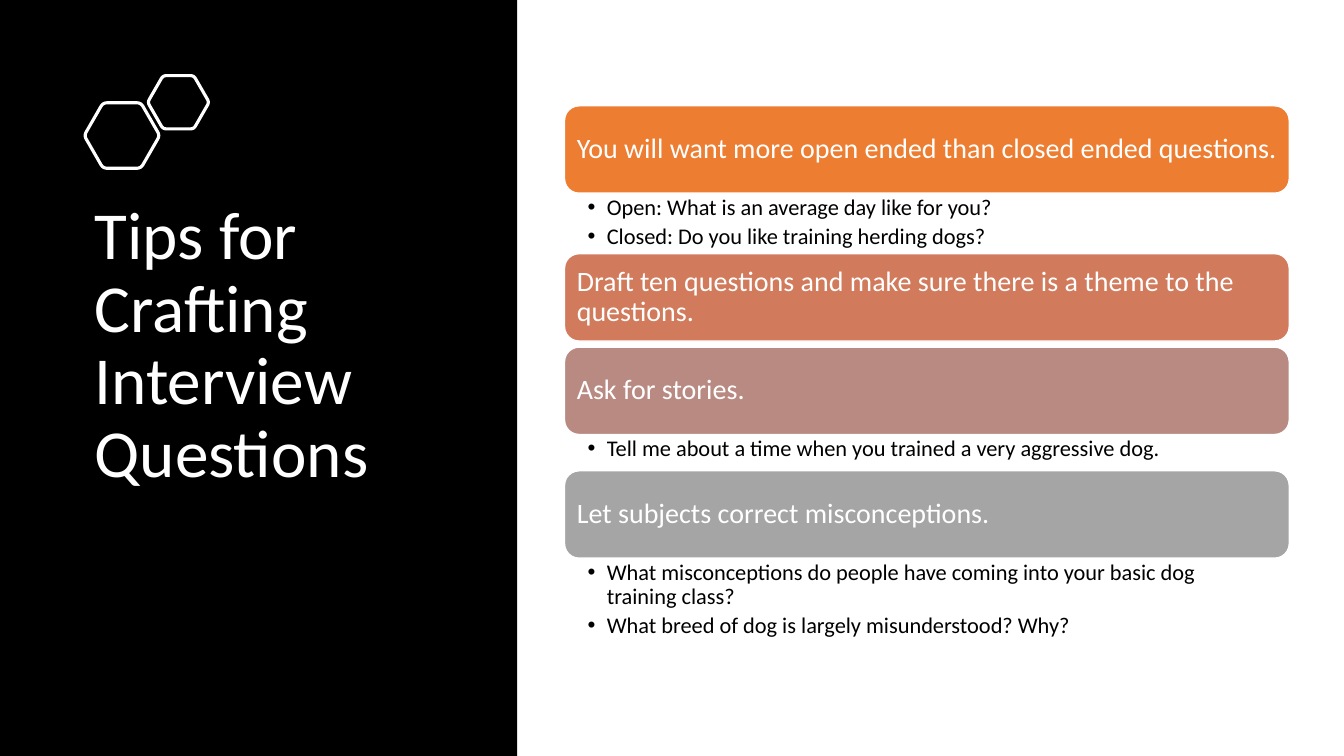
import math
from dataclasses import dataclass

import pptx
import pptx.dml.color
import pptx.enum.shapes
import pptx.enum.text
import pptx.util
from lxml import etree


@dataclass(frozen=True)
class Theme:
    """Colours, font and type sizes."""
    font: str = "Calibri"
    dark: str = "000000"
    light: str = "FFFFFF"
    bars: tuple = ("ED7D31", "D17B5C", "B98A82", "A5A5A5")
    title_size: int = 48
    tip_size: int = 20
    example_size: int = 16


@dataclass(frozen=True)
class Box:
    """A rectangle in grid units of a tenth of an inch."""
    left: float
    top: float
    width: float
    height: float

    def inside(self, left, top, width, height):
        """Return a box offset from this one's corner."""
        return Box(self.left + left, self.top + top, width, height)

    def lengths(self):
        """Return left, top, width and height as lengths."""
        return [grid(value) for value in (self.left, self.top, self.width, self.height)]


THEME = Theme()
SLIDE = Box(0, 0, 133.33, 75)
PANEL = Box(0, 0, 51.3, 75)
TIPS_AREA = Box(56, 10.5, 71.9, 53.6)
BAR_HEIGHT = 8.67
HEXAGONS = [(12.1, 13.45, 3.75), (17.7, 10.15, 3.05)]
TITLE = "Tips for Crafting Interview Questions"
TIPS = [
    ("You will want more open ended than closed ended questions.", 6,
     ["Open: What is an average day like for you?",
      "Closed: Do you like training herding dogs?"]),
    ("Draft ten questions and make sure there is a theme to the questions.", 0.6, []),
    ("Ask for stories.", 3.6,
     ["Tell me about a time when you trained a very aggressive dog."]),
    ("Let subjects correct misconceptions.", 8.6,
     ["What misconceptions do people have coming into your basic dog training class?",
      "What breed of dog is largely misunderstood? Why?"]),
]


def grid(units):
    """Convert grid units to a length."""
    return pptx.util.Inches(units / 10)


def colour(code):
    """Return the colour for a hex code."""
    return pptx.dml.color.RGBColor.from_string(code)


def add_block(page, box, kind, fill):
    """Add a filled preset shape without shadow or outline."""
    shape = page.shapes.add_shape(kind, *box.lengths())
    shape.shadow.inherit = False
    shape.fill.solid()
    shape.fill.fore_color.rgb = colour(fill)
    shape.line.fill.background()
    return shape


def write_text(shape, lines, size, ink, margins, anchor, space_after=0):
    """Write left-aligned paragraphs and return them."""
    frame = shape.text_frame
    frame.word_wrap = True
    frame.vertical_anchor = anchor
    frame.margin_left, frame.margin_top, frame.margin_right, frame.margin_bottom = map(grid, margins)
    frame.text = "\n".join(lines)
    for para in frame.paragraphs:
        para.alignment = pptx.enum.text.PP_ALIGN.LEFT
        para.line_spacing = 0.9
        para.space_after = pptx.util.Pt(space_after)
        for span in para.runs:
            span.font.name = THEME.font
            span.font.size = pptx.util.Pt(size)
            span.font.color.rgb = colour(ink)
    return frame.paragraphs


def add_bullet(para):
    """Give a paragraph a hanging round bullet."""
    props = para._p.get_or_add_pPr()
    props.set("marL", str(grid(1.9)))
    props.set("indent", str(-grid(1.9)))
    namespace = "{http://schemas.openxmlformats.org/drawingml/2006/main}"
    etree.SubElement(props, namespace + "buFont", typeface="Arial")
    etree.SubElement(props, namespace + "buChar", char="•")


def add_hexagon(page, box, centre_x, centre_y, radius):
    """Outline a regular hexagon with rounded corners."""
    corners = [(math.cos(math.radians(60 * i)), math.sin(math.radians(60 * i))) for i in range(6)]
    cut, steps = 0.11, 6
    points = []
    for i, corner in enumerate(corners):
        before, after = corners[i - 1], corners[(i + 1) % 6]
        for step in range(steps + 1):
            t = step / steps
            x, y = (c + cut * ((1 - t) ** 2 * (b - c) + t ** 2 * (a - c))
                    for b, c, a in zip(before, corner, after))
            points.append((grid(box.left + centre_x + radius * x),
                           grid(box.top + centre_y + radius * y)))
    builder = page.shapes.build_freeform(*points[0])
    builder.add_line_segments(points[1:], close=True)
    hexagon = builder.convert_to_shape()
    hexagon.shadow.inherit = False
    hexagon.fill.background()
    hexagon.line.color.rgb = colour(THEME.light)
    hexagon.line.width = pptx.util.Pt(2.25)


def add_title_panel(page, box):
    """Draw the dark panel with its title and hexagons."""
    add_block(page, box, pptx.enum.shapes.MSO_SHAPE.RECTANGLE, THEME.dark)
    title = page.shapes.add_textbox(*box.inside(8.4, 19.5, 39.2, 35).lengths())
    write_text(title, [TITLE], THEME.title_size, THEME.light, (1, 0.5, 1, 0.5),
               pptx.enum.text.MSO_ANCHOR.TOP)
    for hexagon in HEXAGONS:
        add_hexagon(page, box, *hexagon)


def add_tips(page, box):
    """Stack the tip bars, each followed by its examples."""
    top = 0
    for (tip, space_below, examples), fill in zip(TIPS, THEME.bars):
        bar = add_block(page, box.inside(0, top, box.width, BAR_HEIGHT),
                        pptx.enum.shapes.MSO_SHAPE.ROUNDED_RECTANGLE, fill)
        bar.line.color.rgb = colour(THEME.light)
        bar.line.width = pptx.util.Pt(1)
        write_text(bar, [tip], THEME.tip_size, THEME.light, (0.8,) * 4,
                   pptx.enum.text.MSO_ANCHOR.MIDDLE)
        top += BAR_HEIGHT
        if examples:
            listing = page.shapes.add_textbox(*box.inside(0, top, box.width, space_below).lengths())
            for para in write_text(listing, examples, THEME.example_size, THEME.dark,
                                   (2.3, 0.3, 3, 0.3), pptx.enum.text.MSO_ANCHOR.TOP,
                                   THEME.example_size * 0.2):
                add_bullet(para)
        top += space_below


def main():
    """Build and save the deck."""
    deck = pptx.Presentation()
    deck.slide_width, deck.slide_height = grid(SLIDE.width), grid(SLIDE.height)
    page = deck.slides.add_slide(deck.slide_layouts[6])
    add_title_panel(page, PANEL)
    add_tips(page, TIPS_AREA)
    deck.save("out.pptx")


if __name__ == "__main__":
    main()
